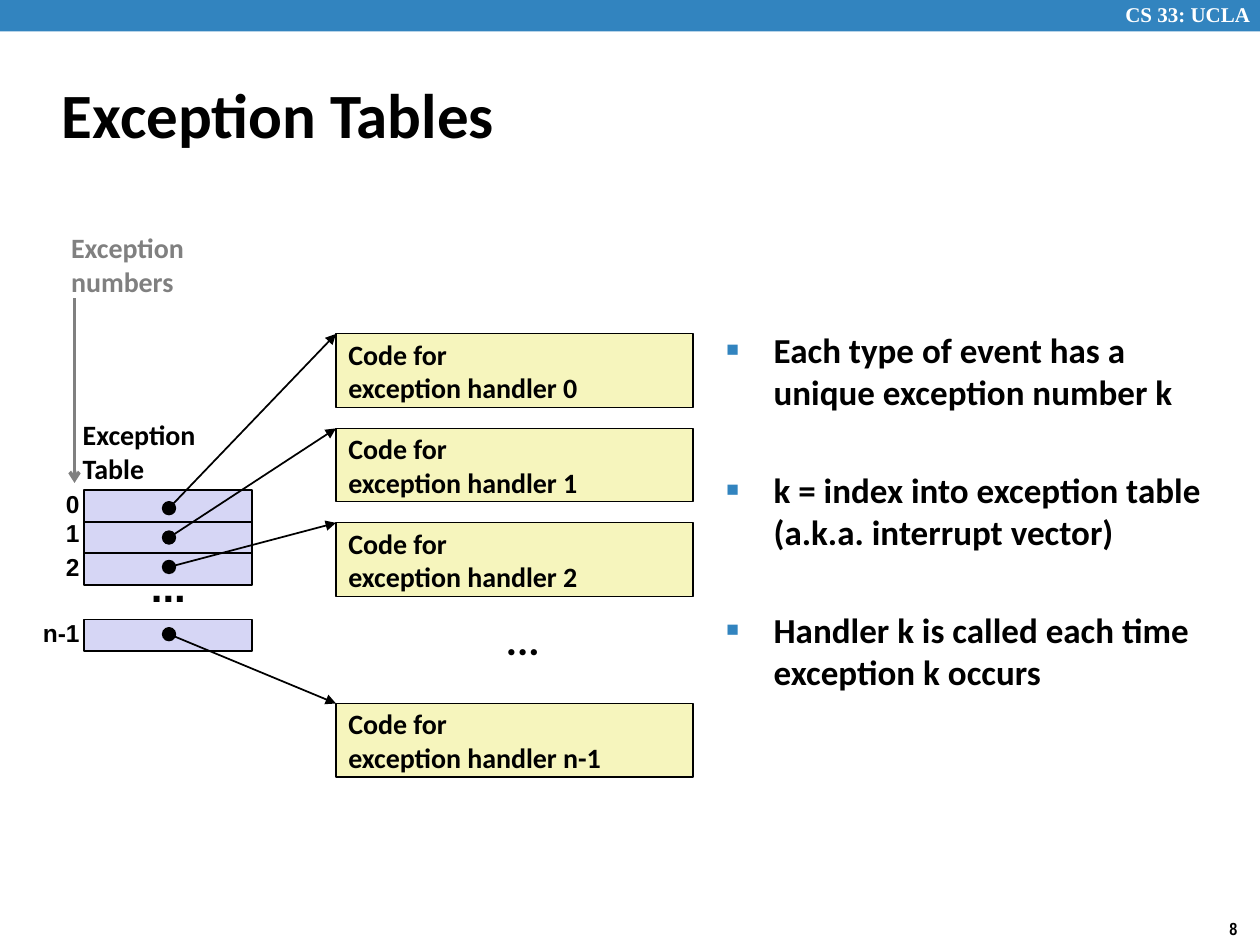
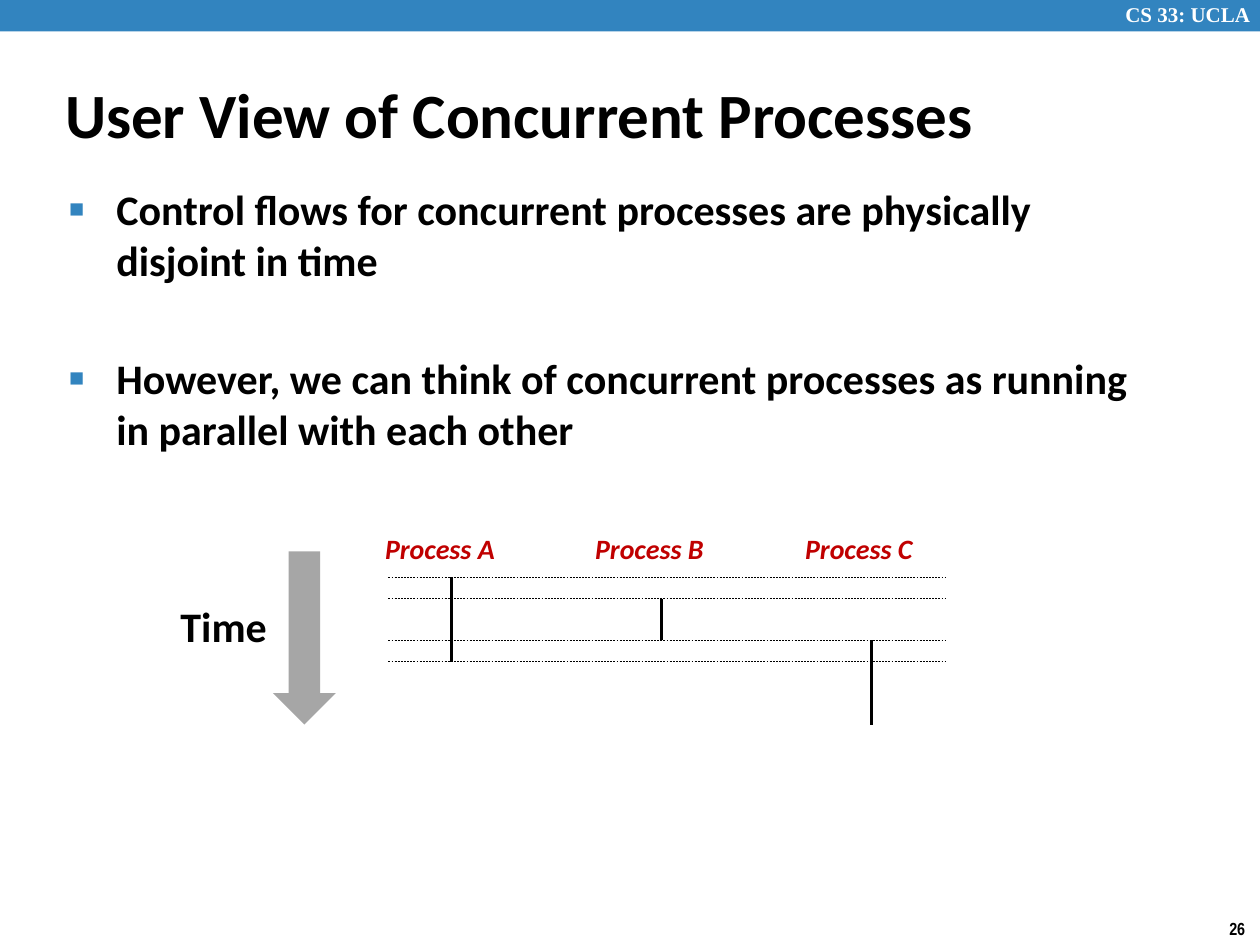
from lxml import etree
from pptx import Presentation
from pptx.dml.color import RGBColor
from pptx.enum.dml import MSO_LINE
from pptx.enum.shapes import MSO_CONNECTOR, MSO_SHAPE
from pptx.enum.text import MSO_ANCHOR, MSO_AUTO_SIZE, PP_ALIGN
from pptx.oxml.ns import qn
from pptx.util import Emu, Pt

PX = 7620
WIDE, HIGH = 1200, 900
RECT, OVAL, DOWN = MSO_SHAPE.RECTANGLE, MSO_SHAPE.OVAL, MSO_SHAPE.DOWN_ARROW
STRAIGHT = MSO_CONNECTOR.STRAIGHT
DASH = MSO_LINE.DASH
TOP, MIDDLE = MSO_ANCHOR.TOP, MSO_ANCHOR.MIDDLE
LEFT = PP_ALIGN.LEFT
FIXED = MSO_AUTO_SIZE.NONE
COLORS = {
    "band": "3284BF",
    "cell": "D6D6F5",
    "code": "F6F5BD",
    "ink": "000000",
    "white": "FFFFFF",
    "gray": "808080",
    "arrow": "A6A6A6",
    "red": "C00000",
}


def px(*sizes):
    return [Emu(size * PX) for size in sizes]


def rgb(name):
    return RGBColor.from_string(COLORS[name])


def add_run(para, text, size, color="ink", face="Calibri", slant=False):
    run = para.add_run()
    run.text = text
    font = run.font
    font.size, font.name = Pt(size), face
    font.bold, font.italic = True, slant
    font.color.rgb = rgb(color)


def fill_frame(frame, lines, size, anchor=TOP, wrap=False, **style):
    frame.auto_size = FIXED
    frame.word_wrap = wrap
    frame.vertical_anchor = anchor
    for i, line in enumerate(lines):
        para = frame.add_paragraph() if i else frame.paragraphs[0]
        para.alignment = LEFT
        add_run(para, line, size, **style)


def add_label(slide, box, text, size, **style):
    label = slide.shapes.add_textbox(*px(*box))
    fill_frame(label.text_frame, text.split("\n"), size, **style)


def add_block(slide, kind, box, fill, edge=None):
    block = slide.shapes.add_shape(kind, *px(*box))
    block.shadow.inherit = False
    block.fill.solid()
    block.fill.fore_color.rgb = rgb(fill)
    if edge:
        block.line.color.rgb = rgb("ink")
        block.line.width = Pt(edge)
    else:
        block.line.fill.background()
    return block


def add_line(slide, start, end, width, color="ink", dash=None, tip=None):
    link = slide.shapes.add_connector(STRAIGHT, *px(*start, *end))
    link.line.color.rgb = rgb(color)
    link.line.width = Pt(width)
    if dash:
        link.line.dash_style = dash
    if tip:
        stroke = link.line._get_or_add_ln()
        etree.SubElement(stroke, qn("a:tailEnd"), type=tip)
    etree.SubElement(link._element.spPr, qn("a:effectLst"))


def set_bullet(para):
    props = para._p.get_or_add_pPr()
    props.set("marL", str(45 * PX))
    props.set("indent", str(-45 * PX))
    tint = etree.SubElement(props, qn("a:buClr"))
    etree.SubElement(tint, qn("a:srgbClr"), val=COLORS["band"])
    etree.SubElement(props, qn("a:buSzPct"), val="60000")
    etree.SubElement(props, qn("a:buFont"), typeface="Arial")
    etree.SubElement(props, qn("a:buChar"), char="■")


def add_list(slide, box, items, size):
    frame = slide.shapes.add_textbox(*px(*box)).text_frame
    frame.word_wrap = True
    for i, item in enumerate(items):
        para = frame.add_paragraph() if i else frame.paragraphs[0]
        set_bullet(para)
        if i:
            para.space_before = Pt(round(size * 1.62))
        for j, line in enumerate(item.split("\n")):
            if j:
                para.add_line_break()
            add_run(para, line, size)


def add_page(deck, title, box, number):
    slide = deck.slides.add_slide(deck.slide_layouts[5])
    add_block(slide, RECT, (0, 0, WIDE, 30), "band")
    add_label(slide, (1060, -4, 149, 36), "CS 33: UCLA", 12,
              color="white", face="Times New Roman")
    add_label(slide, (1159, 868, 41, 32), number, 10, face="Arial Narrow")
    head = slide.shapes.title
    head.left, head.top, head.width, head.height = px(*box)
    fill_frame(head.text_frame, [title], 36, anchor=MIDDLE, wrap=True)
    return slide


def draw_table(deck):
    slide = add_page(deck, "Exception Tables", (47, 58, 996, 100), "8")
    add_list(slide, (680, 307, 500, 422), [
        "Each type of event has a\nunique exception number k",
        "k = index into exception table\n(a.k.a. interrupt vector)",
        "Handler k is called each time\nexception k occurs",
    ], 20)
    add_label(slide, (67, 392, 133, 77), "Exception\nTable", 16)
    add_label(slide, (56, 214, 139, 77), "Exception\nnumbers", 16, color="gray")
    add_line(slide, (71, 284), (71, 460), 2, color="gray", tip="arrow")

    rows = [
        ("0", 37, 467, 460, 484, 318),
        ("1", 37, 497, 487, 512, 408),
        ("2", 37, 527, 520, 540, 498),
        ("n-1", 59, 590, 583, 604, 670),
    ]
    hub, edge = 161, 320
    for name, wide, cell, label, dot, code in rows:
        add_block(slide, RECT, (80, cell, 160, 30), "cell", 1)
        add_label(slide, (88 - wide, label, wide, 40), name, 14,
                  anchor=MIDDLE, face="Arial")
        box = add_block(slide, RECT, (edge, code, 340, 70), "code", 0.75)
        fill_frame(box.text_frame, ["Code for", f"exception handler {name}"],
                   16, anchor=MIDDLE, wrap=True)
    for name, wide, cell, label, dot, code in rows:
        add_block(slide, OVAL, (hub - 6, dot - 6, 12, 12), "ink", 1)
        add_line(slide, (hub, dot), (edge, code), 1, tip="triangle")
    add_label(slide, (132, 528, 58, 60), "...", 24, anchor=MIDDLE, face="Arial")
    add_label(slide, (470, 578, 58, 60), "...", 24, anchor=MIDDLE)


def draw_flows(deck):
    slide = add_page(deck, "User View of Concurrent Processes",
                     (50, 70, 1110, 75), "26")
    add_list(slide, (54, 169, 1037, 262), [
        "Control flows for concurrent processes are physically disjoint in time",
        "However, we can think of concurrent processes as running in parallel "
        "with each other",
    ], 24)
    add_label(slide, (160, 566, 107, 60), "Time", 24)
    add_block(slide, DOWN, (260, 525, 60, 165), "arrow")
    for y in (550, 570, 610, 630):
        add_line(slide, (370, y), (900, y), 0.25, dash=DASH)
    step = 40
    flows = [("A", (550, 590)), ("B", (570,)), ("C", (610, 650))]
    for i, (name, starts) in enumerate(flows):
        x = 430 + 200 * i
        add_label(slide, (x - 75, 500, 130, 44), f"Process {name}", 16,
                  color="red", slant=True)
        for y in starts:
            add_line(slide, (x, y), (x, y + step), 2)


def main():
    deck = Presentation()
    deck.slide_width, deck.slide_height = px(WIDE, HIGH)
    draw_table(deck)
    draw_flows(deck)
    deck.save("out.pptx")


if __name__ == "__main__":
    main()
